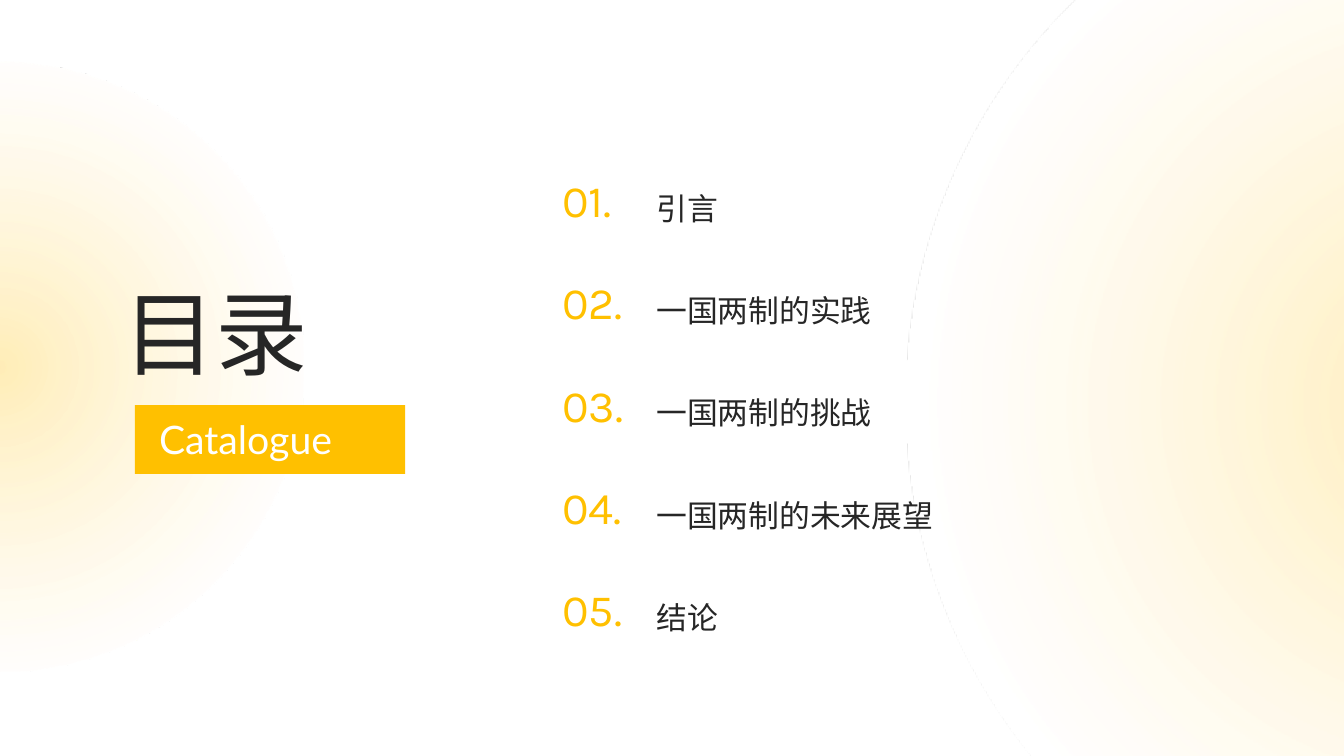
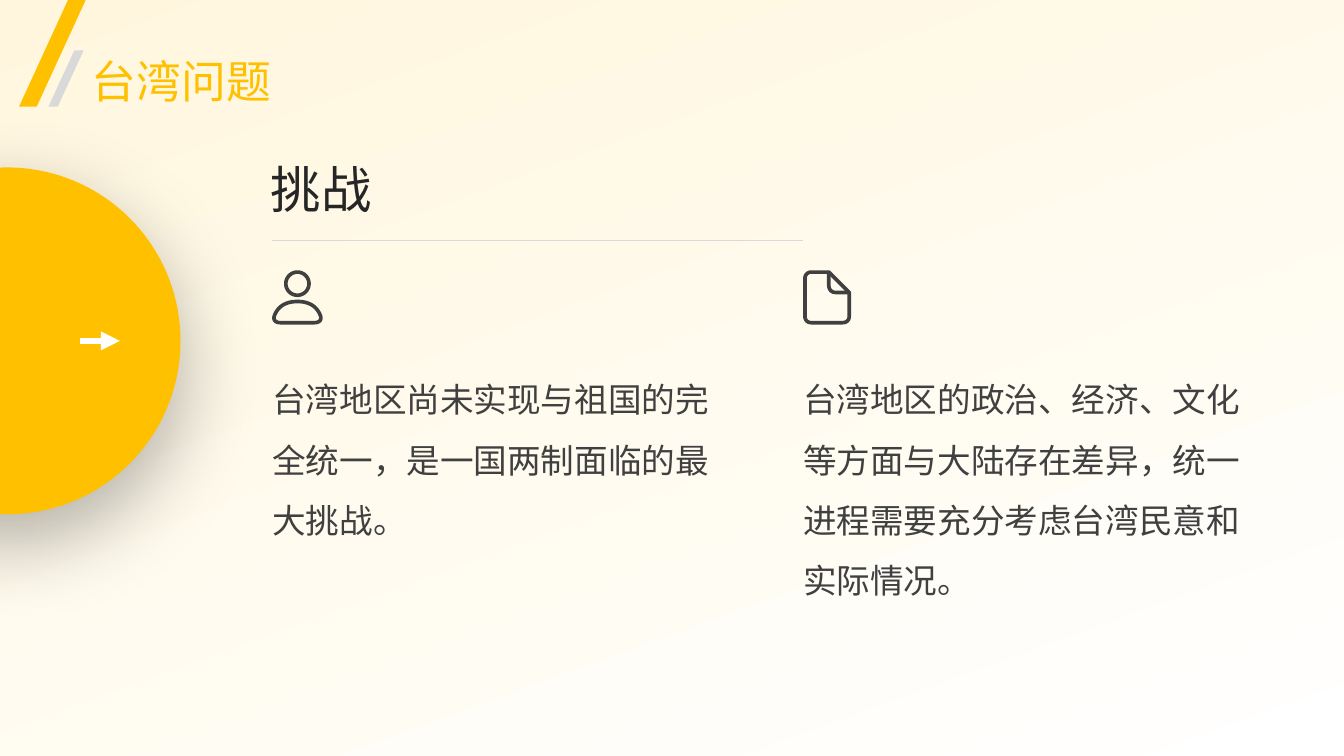
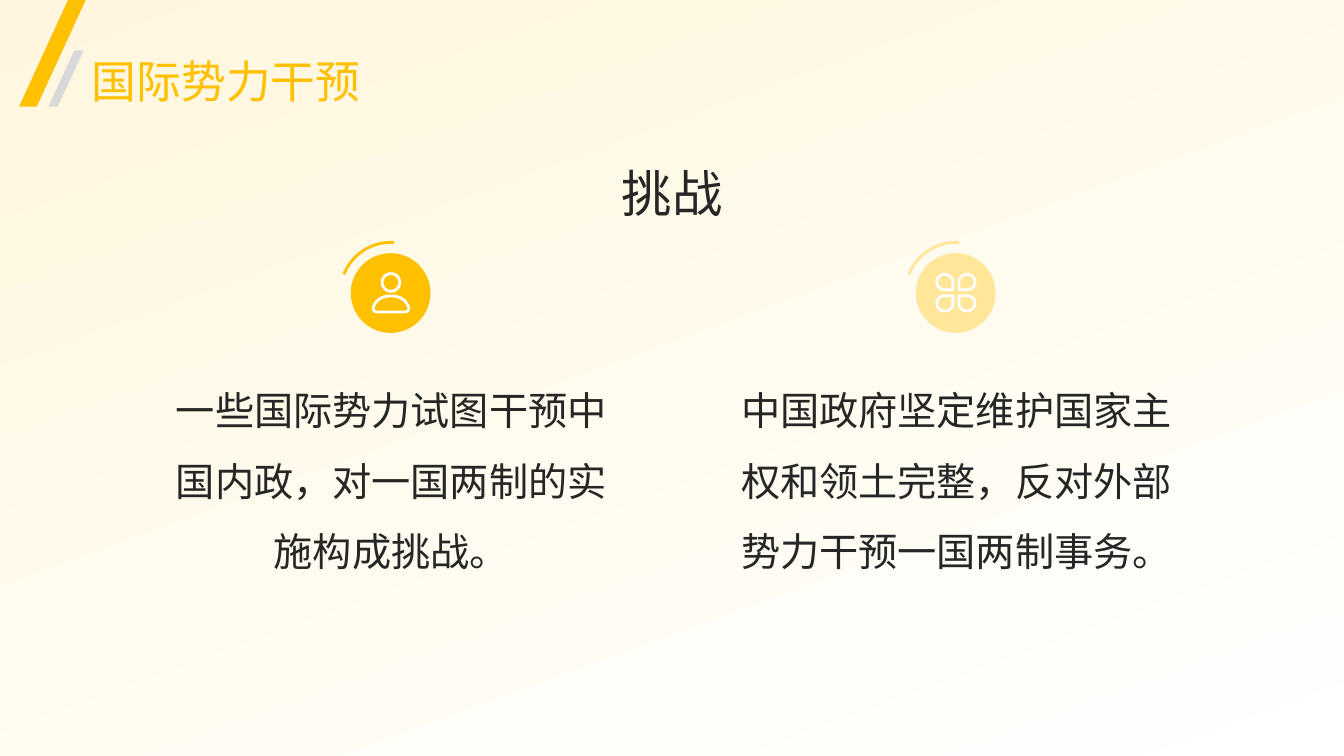
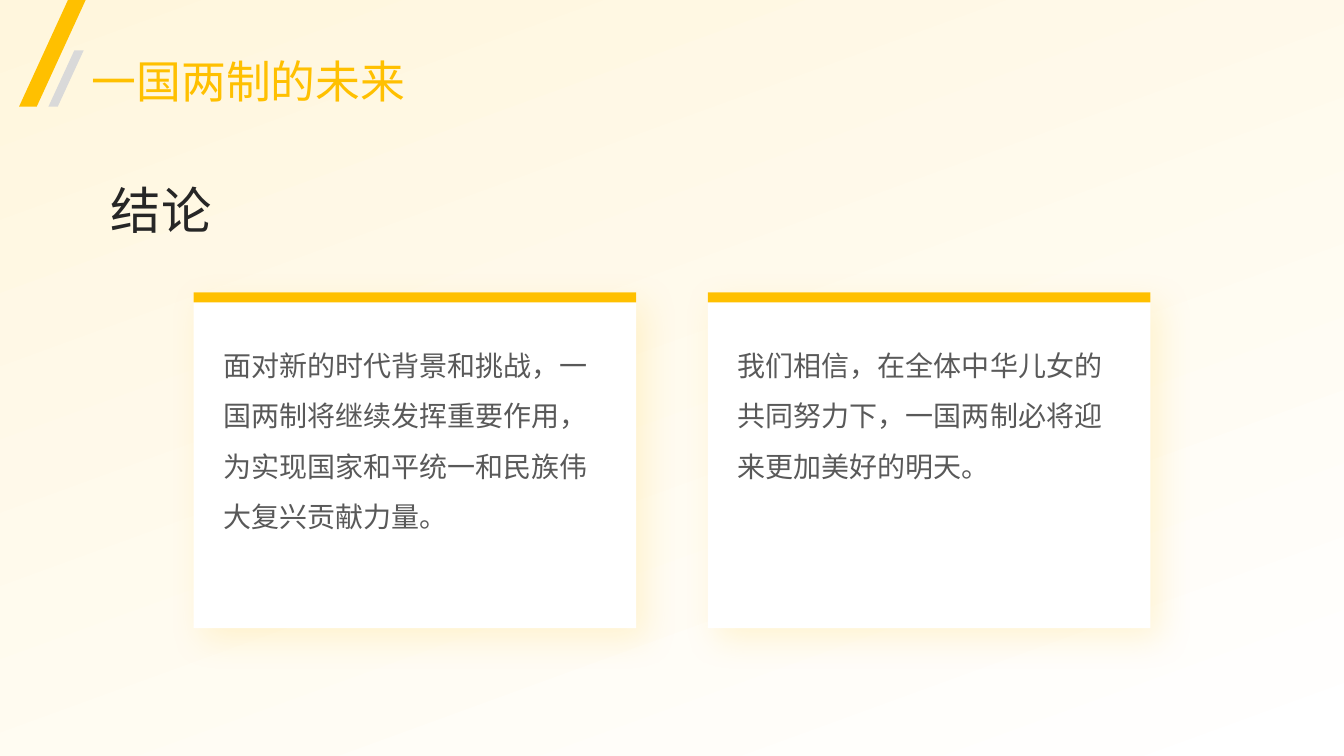
from lxml import etree
from pptx import Presentation
from pptx.dml.color import RGBColor
from pptx.enum.shapes import MSO_CONNECTOR, MSO_SHAPE
from pptx.enum.text import MSO_ANCHOR, MSO_AUTO_SIZE, PP_ALIGN
from pptx.oxml import parse_xml
from pptx.oxml.ns import nsdecls, qn
from pptx.util import Cm, Pt

RECT, OVAL = MSO_SHAPE.RECTANGLE, MSO_SHAPE.OVAL
ARC, SLASH = MSO_SHAPE.ARC, MSO_SHAPE.PARALLELOGRAM
STRAIGHT = MSO_CONNECTOR.STRAIGHT
TOP, MIDDLE, BOTTOM = MSO_ANCHOR.TOP, MSO_ANCHOR.MIDDLE, MSO_ANCHOR.BOTTOM
LEFT, CENTER = PP_ALIGN.LEFT, PP_ALIGN.CENTER
NO_AUTOSIZE = MSO_AUTO_SIZE.NONE

GOLD, PALE_GOLD, CREAM, WHITE = "FFC000", "FFE699", "FFF6DD", "FFFFFF"
INK, DARK, GREY, SILVER = "262626", "404040", "595959", "D9D9D9"
SANS, LATO, KARLA = "Noto Sans CJK SC", "Lato", "Karla"
EAST_ASIAN = "Lato"
TWO_CONTENT = 3
ICON_UNIT = 0.0254

PERSON = [
    ((25, 1.8), [(31.3, 1.8, 36.5, 7, 36.5, 13.3), (36.5, 19.6, 31.3, 24.8, 25, 24.8),
                 (18.7, 24.8, 13.5, 19.6, 13.5, 13.3), (13.5, 7, 18.7, 1.8, 25, 1.8)], True),
    ((25, 31), [(12, 31, 5, 37, 2, 45.5), (0.8, 49.5, 3.5, 52, 8, 52), (42, 52),
                (46.5, 52, 49.2, 49.5, 48, 45.5), (45, 37, 38, 31, 25, 31)], True),
]
DOCUMENT = [
    ((25.5, 1.8), [(8, 1.8), (4.5, 1.8, 1.8, 4.5, 1.8, 8), (1.8, 46),
                   (1.8, 49.5, 4.5, 52, 8, 52), (39, 52),
                   (43, 52, 45.7, 49.5, 45.7, 46), (45.7, 22)], True),
    ((25.5, 1.8), [(25.5, 15), (25.5, 19, 28, 22, 32, 22), (45.7, 22)], False),
]
PETAL = ((17.5, 16.5), [(9.5, 16.5), (5, 16.5, 1.5, 13, 1.5, 9), (1.5, 4.7, 5, 1.3, 9.5, 1.3),
                        (14, 1.3, 17.5, 4.7, 17.5, 9)], True)


def color(value):
    return RGBColor.from_string(value)


def mirror(contour, width, height):
    def flip(values):
        return tuple(abs((height if i % 2 else width) - v) for i, v in enumerate(values))
    start, segments, closed = contour
    return flip(start), [flip(seg) for seg in segments], closed


CLOVER = [mirror(PETAL, width, height) for width in (0, 41) for height in (0, 39)]


def trace(start, segments, steps=12):
    points = [start]
    for seg in segments:
        if len(seg) == 2:
            points.append(seg)
            continue
        ctrl = [points[-1], seg[:2], seg[2:4], seg[4:]]
        for i in range(1, steps + 1):
            t = i / steps
            weights = ((1 - t) ** 3, 3 * t * (1 - t) ** 2, 3 * t * t * (1 - t), t ** 3)
            points.append(tuple(sum(w * c[k] for w, c in zip(weights, ctrl)) for k in (0, 1)))
    return points


class Deck:
    def __init__(self):
        self.prs = Presentation()
        self.prs.slide_width, self.prs.slide_height = Cm(33.87), Cm(19.05)
        self.s = None
        fill = self.prs.slide_master.background.fill
        fill.gradient()
        fill.gradient_angle = 290
        for stop, value in zip(fill.gradient_stops, (CREAM, WHITE)):
            stop.color.rgb = color(value)

    def slide(self):
        self.s = self.prs.slides.add_slide(self.prs.slide_layouts[TWO_CONTENT])

    def topic_slide(self, title):
        self.slide()
        for box, value in (((0.48, 0, 1.68, 2.69), GOLD), ((1.22, 1.27, 0.89, 1.42), SILVER)):
            self.shape(SLASH, box, value).adjustments[0] = 0.735
        self.title(title, (2.31, 1.17, 29.67, 1.6), size=32, fill=GOLD)

    def set_text(self, sp, lines, box, size, fill, font=SANS, spacing=1.1, anchor=TOP, align=LEFT):
        for name, value in zip(("left", "top", "width", "height"), box):
            setattr(sp, name, Cm(value))
        tf = sp.text_frame
        frame_format = {"word_wrap": True, "auto_size": NO_AUTOSIZE, "vertical_anchor": anchor,
                        "margin_left": 0, "margin_right": 0, "margin_top": 0, "margin_bottom": 0}
        for name, value in frame_format.items():
            setattr(tf, name, value)
        para_format = {"alignment": align, "line_spacing": spacing,
                       "space_before": Pt(0), "space_after": Pt(0)}
        for i, line in enumerate(lines):
            p = tf.add_paragraph() if i else tf.paragraphs[0]
            pPr = p._p.get_or_add_pPr()
            pPr.set("marL", "0")
            pPr.set("indent", "0")
            etree.SubElement(pPr, qn("a:buNone"))
            for name, value in para_format.items():
                setattr(p, name, value)
            r = p.add_run()
            r.text = line
            for name, value in {"size": Pt(size), "name": font, "bold": False}.items():
                setattr(r.font, name, value)
            r.font.color.rgb = color(fill)
            etree.SubElement(r._r.get_or_add_rPr(), qn("a:ea")).set("typeface", EAST_ASIAN)

    def placeholder(self, idx, lines, box, **style):
        sp = self.s.placeholders[idx]
        self.s.shapes.element.append(sp.element)
        self.set_text(sp, lines, box, **style)

    def title(self, text, box, **style):
        self.placeholder(0, [text], box, anchor=MIDDLE, **style)

    def columns(self, texts, box, pitch, **style):
        x, *rest = box
        for i, text in enumerate(texts):
            self.placeholder(i + 1, [text], (x + i * pitch, *rest), spacing=1.5, **style)

    def text(self, text, box, **style):
        self.set_text(self.s.shapes.add_textbox(0, 0, 0, 0), [text], box, **style)

    def heading(self, text, box, **style):
        self.text(text, box, size=36, fill=INK, spacing=1.5, **style)

    def shape(self, kind, box, fill, shadow=None):
        sp = self.s.shapes.add_shape(kind, *map(Cm, box))
        sp.shadow.inherit = False
        sp.fill.solid()
        sp.fill.fore_color.rgb = color(fill)
        sp.line.fill.background()
        if shadow:
            value, alpha, blur, dist, angle = shadow
            sp._element.spPr.find(qn("a:effectLst")).append(parse_xml(
                f'<a:outerShdw {nsdecls("a")} blurRad="{Pt(blur)}" dist="{Pt(dist)}" '
                f'dir="{angle * 60000}" algn="t" rotWithShape="0"><a:srgbClr val="{value}">'
                f'<a:alpha val="{alpha * 1000}"/></a:srgbClr></a:outerShdw>'))
        return sp

    def glow(self, x, y, diameter, edge):
        sp = self.shape(OVAL, (x, y, diameter, diameter), PALE_GOLD)
        stops = "".join(
            f'<a:gs pos="{pos * 1000}"><a:srgbClr val="{value}">'
            f'<a:alpha val="{alpha * 1000}"/></a:srgbClr></a:gs>'
            for pos, value, alpha in ((0, PALE_GOLD, 70), (edge, WHITE, 50)))
        spPr = sp._element.spPr
        spPr.replace(spPr.find(qn("a:solidFill")), parse_xml(
            f'<a:gradFill {nsdecls("a")}><a:gsLst>{stops}</a:gsLst><a:path path="circle">'
            '<a:fillToRect l="50000" t="50000" r="50000" b="50000"/></a:path></a:gradFill>'))

    def outline(self, sp, fill, width):
        sp.fill.background()
        sp.line.color.rgb = color(fill)
        sp.line.width = Pt(width)

    def arc(self, box, fill):
        sp = self.shape(ARC, box, fill)
        sp.adjustments[0], sp.adjustments[1] = 120.86, 164.24
        self.outline(sp, fill, 2)

    def icon(self, contours, x, y, fill, width, scale=1):
        builder = None
        for start, segments, closed in contours:
            points = [(Cm(x + u * ICON_UNIT * scale), Cm(y + v * ICON_UNIT * scale))
                      for u, v in trace(start, segments)]
            if builder:
                builder.move_to(*points[0])
            else:
                builder = self.s.shapes.build_freeform(*points[0])
            builder.add_line_segments(points[1:], close=closed)
        sp = builder.convert_to_shape()
        sp.shadow.inherit = False
        self.outline(sp, fill, width)

    def line(self, x1, x2, y, fill, width, arrow=False):
        cx = self.s.shapes.add_connector(STRAIGHT, Cm(x1), Cm(y), Cm(x2), Cm(y))
        cx.line.color.rgb = color(fill)
        cx.line.width = Pt(width)
        spPr = cx._element.spPr
        if arrow:
            etree.SubElement(spPr.find(qn("a:ln")), qn("a:tailEnd")).set("type", "triangle")
        etree.SubElement(spPr, qn("a:effectLst"))


def catalogue(deck):
    deck.slide()
    fill = deck.s.background.fill
    fill.solid()
    fill.fore_color.rgb = color(WHITE)
    deck.glow(22.86, -3.94, 28.14, 68)
    deck.glow(-7.72, 1.55, 15.37, 73)
    deck.title("目录", (3.1, 6.67, 4.93, 3.1), size=66, fill=INK, font=LATO)
    deck.shape(RECT, (3.4, 10.21, 6.81, 1.73), GOLD)
    deck.text("Catalogue", (4.01, 10.34, 5.56, 1.3), size=28, fill=WHITE, font=LATO, anchor=MIDDLE)
    items = ["引言", "一国两制的实践", "一国两制的挑战", "一国两制的未来展望", "结论"]
    numbers = [f"{i:02}." for i in range(1, len(items) + 1)]
    row = {"font": KARLA, "spacing": Pt(73.1)}
    deck.placeholder(1, numbers, (14.17, 3.13, 2.3, 12.9), size=32, fill=GOLD, **row)
    deck.placeholder(2, items, (16.54, 3.13, 15.47, 12.9), size=22, fill=INK, **row)


def taiwan(deck):
    deck.topic_slide("台湾问题")
    deck.shape(OVAL, (-4.19, 4.22, 8.74, 8.74), GOLD, shadow=("000000", 30, 60, 20, 90))
    deck.line(2.01, 3.02, 8.59, WHITE, 4.5, arrow=True)
    deck.heading("挑战", (6.83, 2.34, 24.97, 3.18), anchor=BOTTOM)
    deck.line(6.86, 20.24, 6.05, SILVER, 0.82)
    left, pitch = 6.86, 13.38
    for i, contours in enumerate((PERSON, DOCUMENT)):
        deck.icon(contours, left + i * pitch, 6.81, DARK, 2.6)
    deck.columns(["台湾地区尚未实现与祖国的完全统一，是一国两制面临的最大挑战。",
                  "台湾地区的政治、经济、文化等方面与大陆存在差异，统一进程需要充分考虑台湾民意和实际情况。"],
                 (left, 9.04, 11.1, 6.2), pitch, size=24, fill=DARK)


def interference(deck):
    deck.topic_slide("国际势力干预")
    deck.heading("挑战", (3.76, 2.62, 26.37, 3), anchor=BOTTOM, align=CENTER)
    pitch = 14.24
    badges = ((GOLD, PERSON, 9.37, 6.86, 0.76), (PALE_GOLD, CLOVER, 9.33, 6.88, 1))
    for i, (fill, contours, x, y, scale) in enumerate(badges):
        shift = i * pitch
        deck.shape(OVAL, (8.84 + shift, 6.38, 2.01, 2.01), fill)
        deck.icon(contours, x + shift, y, WHITE, 2, scale)
        deck.arc((8.58 + shift, 6.11, 2.54, 2.54), fill)
    deck.columns(["一些国际势力试图干预中国内政，对一国两制的实施构成挑战。",
                  "中国政府坚定维护国家主权和领土完整，反对外部势力干预一国两制事务。"],
                 (4.01, 9.14, 11.7, 5.4), pitch, size=28, fill=INK, align=CENTER)


def conclusion(deck):
    deck.topic_slide("一国两制的未来")
    deck.heading("结论", (2.79, 3.2, 24.43, 3.4), anchor=MIDDLE)
    left, top, width, pitch = 4.88, 7.37, 11.15, 12.96
    for i in range(2):
        x = left + i * pitch
        deck.shape(RECT, (x, top, width, 8.46), WHITE, shadow=(GOLD, 15, 25, 10, 50))
        deck.shape(RECT, (x, top, width, 0.25), GOLD)
    deck.columns(["面对新的时代背景和挑战，一国两制将继续发挥重要作用，为实现国家和平统一和民族伟大复兴贡献力量。",
                  "我们相信，在全体中华儿女的共同努力下，一国两制必将迎来更加美好的明天。"],
                 (left + 0.75, 8.36, 9.37, 6.73), pitch, size=20, fill=GREY)


def main():
    deck = Deck()
    for build in (catalogue, taiwan, interference, conclusion):
        build(deck)
    deck.prs.save("out.pptx")


if __name__ == "__main__":
    main()
